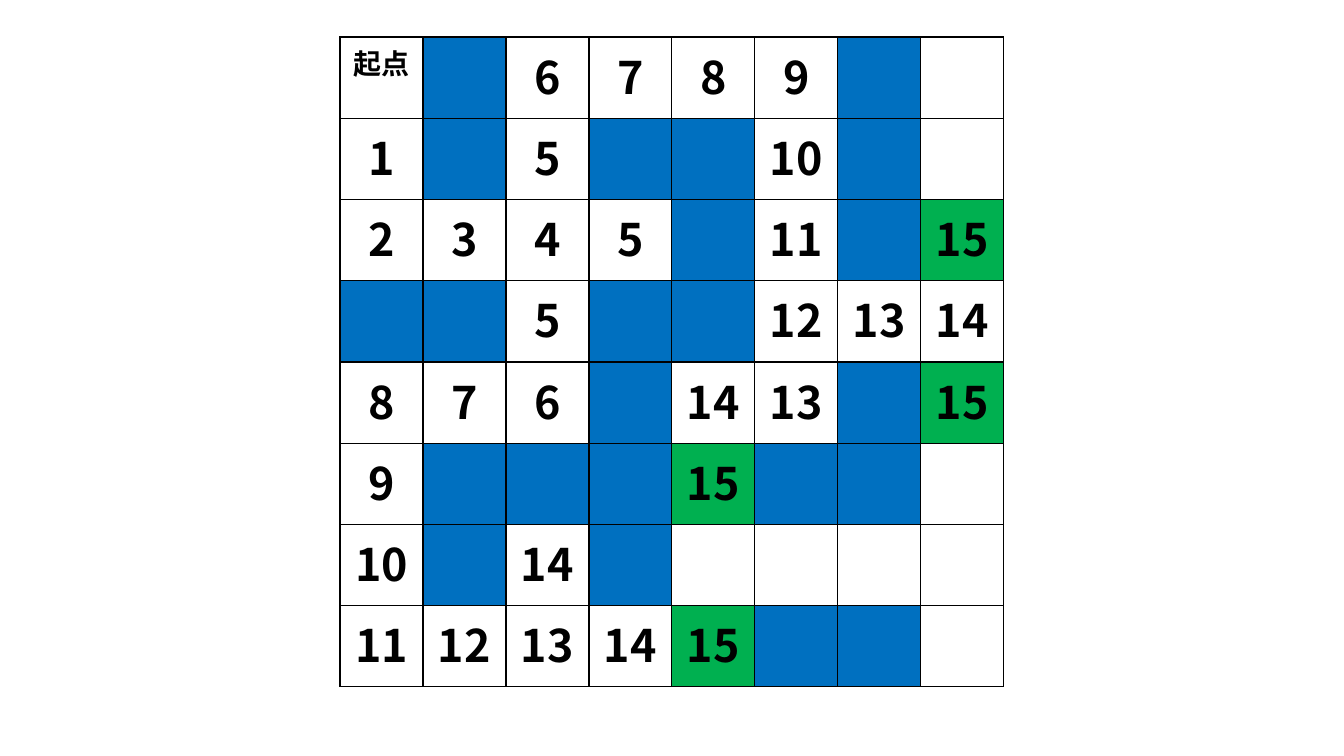
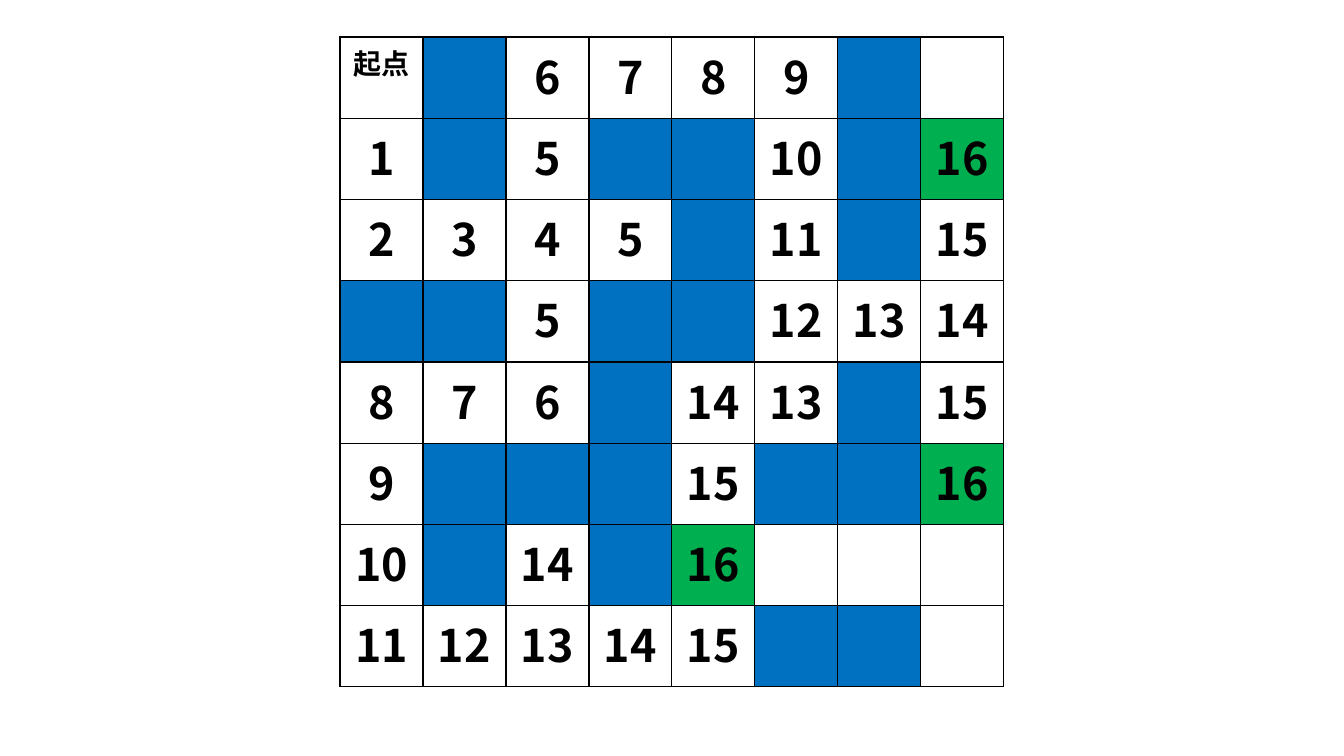
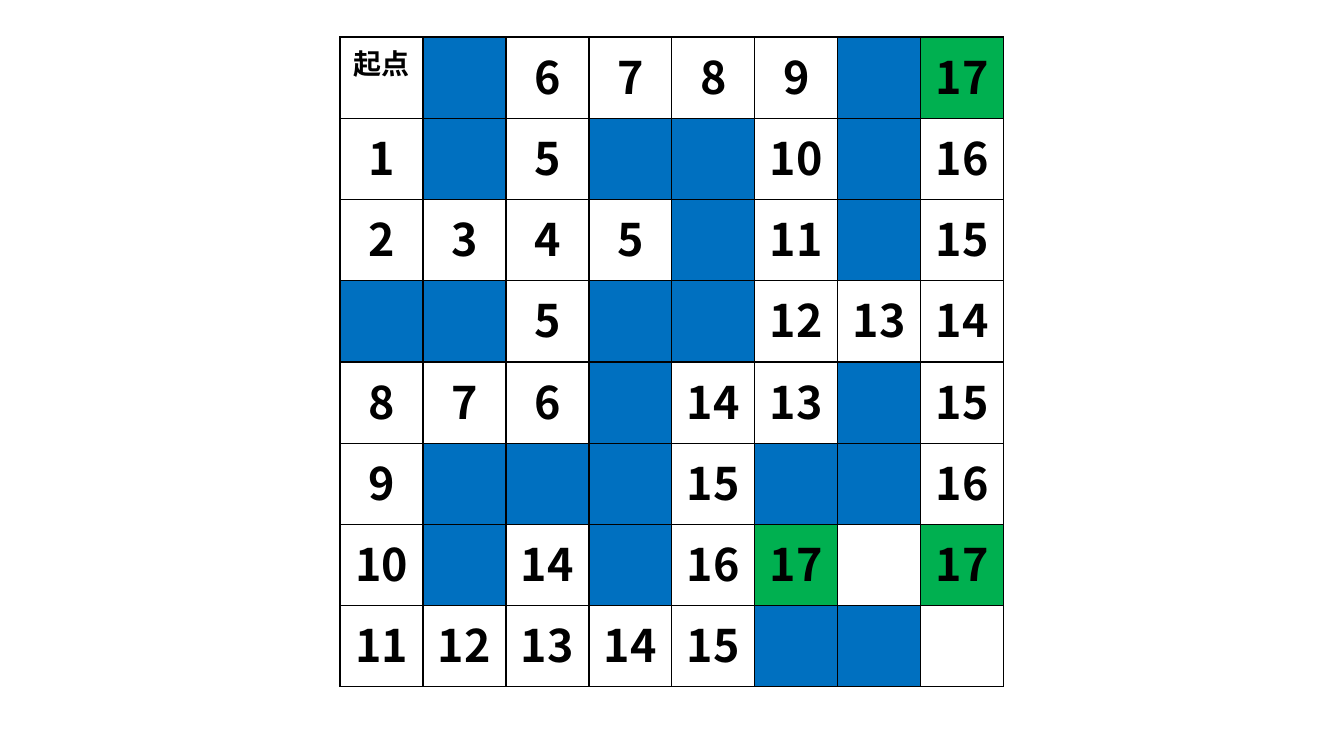
from dataclasses import dataclass

from pptx import Presentation
from pptx.dml.color import RGBColor
from pptx.enum.text import PP_ALIGN
from pptx.oxml.ns import qn
from pptx.presentation import Presentation as Deck
from pptx.table import _Cell as Cell
from pptx.util import Emu, Pt
from lxml.etree import SubElement


@dataclass(frozen=True)
class Theme:
    font: str = "Noto Sans CJK SC"
    ink: str = "000000"
    free: str = "FFFFFF"
    wall: str = "0070C0"
    front: str = "00B050"
    start_size: int = 20
    number_size: int = 32
    border: int = 1


@dataclass(frozen=True)
class Box:
    left: int
    top: int
    width: int
    height: int


THEME = Theme()
EMU_PER_PX = 914400 / 100.8
SLIDE_W, SLIDE_H = 1344, 756
BOARD = Box(340, 37, 664, 650)

# Step count of every square: # is a wall, . is never reached, S is the start
START, WALL, UNREACHED = "S", "#", "."
MAZE = [row.split() for row in (
    "S  #  6  7  8  9  #  17",
    "1  #  5  #  #  10 #  16",
    "2  3  4  5  #  11 #  15",
    "#  #  5  #  #  12 13 14",
    "8  7  6  #  14 13 #  15",
    "9  #  #  #  15 #  #  16",
    "10 #  14 #  16 17 .  17",
    "11 12 13 14 15 #  #  .",
)]
STEPS = (15, 16, 17)


def px(n: float) -> Emu:
    return Emu(round(n * EMU_PER_PX))


def set_borders(cell: Cell) -> None:
    tcPr = cell._tc.get_or_add_tcPr()
    for side in ("a:lnL", "a:lnR", "a:lnT", "a:lnB"):
        ln = SubElement(tcPr, qn(side), w=str(Pt(THEME.border)))
        fill = SubElement(ln, qn("a:solidFill"))
        SubElement(fill, qn("a:srgbClr"), val=THEME.ink)


def set_text(cell: Cell, text: str, size: int) -> None:
    p = cell.text_frame.paragraphs[0]
    p.alignment = PP_ALIGN.CENTER
    p.add_run().text = text
    p.font.size = Pt(size)
    p.font.bold = True
    p.font.color.rgb = RGBColor.from_string(THEME.ink)
    p.font.name = THEME.font
    defRPr = p._p.pPr.find(qn("a:defRPr"))
    SubElement(defRPr, qn("a:ea"), typeface=THEME.font)


def draw_square(cell: Cell, mark: str, step: int) -> None:
    color = THEME.free
    if mark == WALL:
        color = THEME.wall
    elif mark == START:
        set_text(cell, "起点", THEME.start_size)
    elif mark != UNREACHED and int(mark) <= step:
        set_text(cell, mark, THEME.number_size)
        if int(mark) == step:
            color = THEME.front
    set_borders(cell)
    cell.fill.solid()
    cell.fill.fore_color.rgb = RGBColor.from_string(color)


def add_board(prs: Deck, step: int) -> None:
    """Show the search after the given number of steps, newest squares in green."""
    s = prs.slides.add_slide(prs.slide_layouts[6])
    rows, cols = len(MAZE), len(MAZE[0])
    table = s.shapes.add_table(rows, cols, px(BOARD.left), px(BOARD.top),
                               px(BOARD.width), px(BOARD.height)).table
    table.first_row = table.horz_banding = False
    for column in table.columns:
        column.width = px(BOARD.width / cols)
    for row, marks in zip(table.rows, MAZE):
        row.height = px(BOARD.height / rows)
        for cell, mark in zip(row.cells, marks):
            draw_square(cell, mark, step)


def main() -> None:
    prs = Presentation()
    prs.slide_width, prs.slide_height = px(SLIDE_W), px(SLIDE_H)
    for step in STEPS:
        add_board(prs, step)
    prs.save("out.pptx")


if __name__ == "__main__":
    main()
